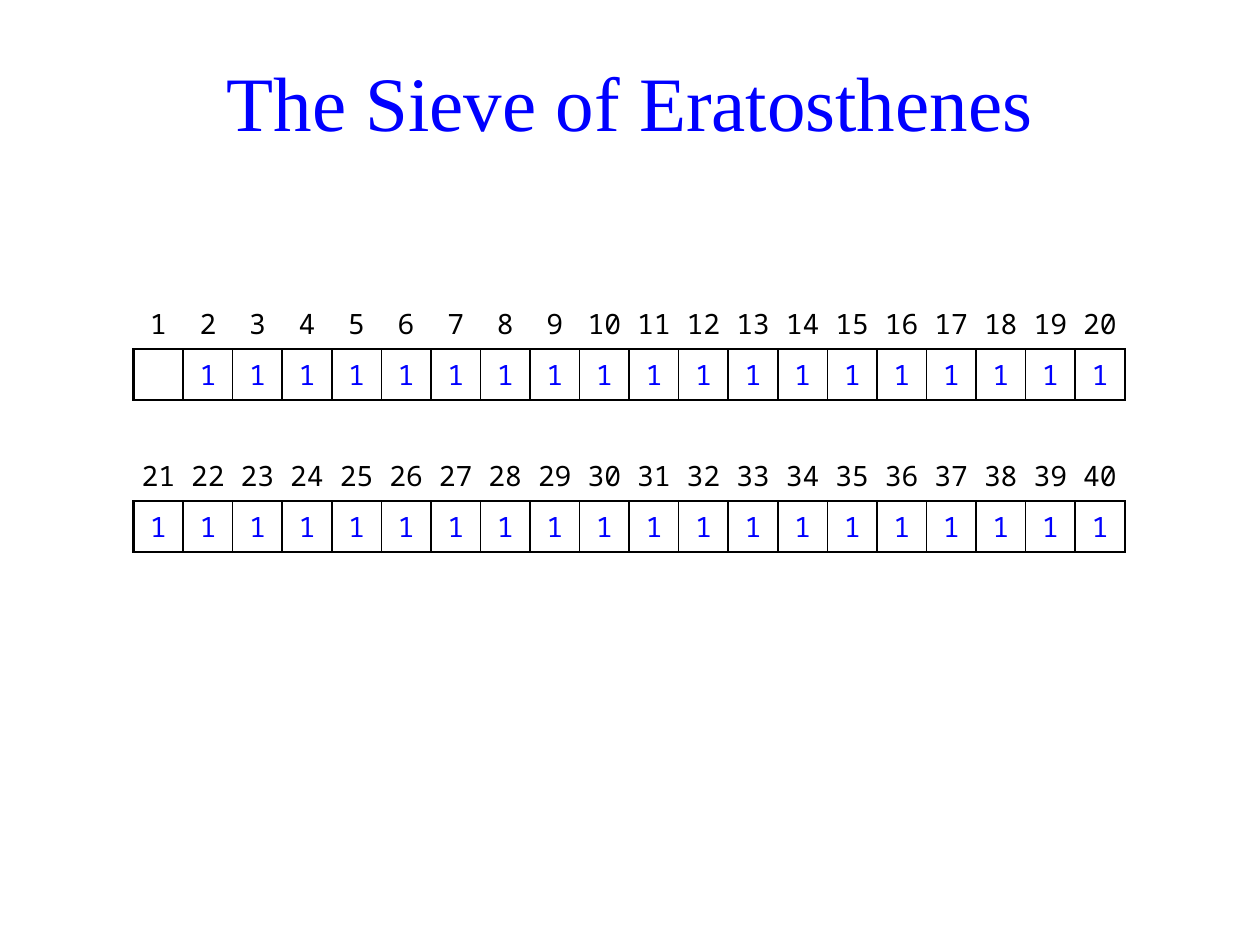
from dataclasses import dataclass
from lxml.etree import SubElement
from pptx import Presentation
from pptx.dml.color import RGBColor
from pptx.enum.text import MSO_ANCHOR, PP_ALIGN
from pptx.oxml.ns import qn
from pptx.util import Inches, Pt


@dataclass
class Theme:
    ink: str = "000000"
    accent: str = "0000FF"
    title_font: str = "Times New Roman"
    cell_font: str = "Noto Sans Mono"
    title_size: float = 44
    cell_size: float = 16
    outer: float = 1.5
    inner: float = 1


theme = Theme()


def style(p, font, size, color):
    p.alignment = PP_ALIGN.CENTER
    p.font.name = font
    p.font.size = Pt(size)
    p.font.color.rgb = RGBColor.from_string(color)


def set_borders(cell, widths):
    tcPr = cell._tc.get_or_add_tcPr()
    for side, width in zip("LRTB", widths):
        ln = SubElement(tcPr, qn(f"a:ln{side}"), w=str(Pt(width)))
        if width:
            fill = SubElement(ln, qn("a:solidFill"))
            SubElement(fill, qn("a:srgbClr"), val=theme.ink)
        else:
            SubElement(ln, qn("a:noFill"))


prs = Presentation()
prs.slide_width, prs.slide_height = Inches(10), Inches(7.5)
s = prs.slides.add_slide(prs.slide_layouts[5])

title = s.shapes.title
title.left, title.top = Inches(0.47), Inches(0.21)
title.width, title.height = Inches(9.06), Inches(1.18)
tf = title.text_frame
tf.text = "The Sieve of Eratosthenes"
tf.vertical_anchor = MSO_ANCHOR.MIDDLE
style(tf.paragraphs[0], theme.title_font, theme.title_size, theme.accent)

cols = 20
numbers = range(1, cols + 1)
rows = [
    [str(n) for n in numbers],
    ["" if n == 1 else "1" for n in numbers],
    [""] * cols,
    [str(n + cols) for n in numbers],
    ["1"] * cols,
]
boxed = {1, 4}

sieve = s.shapes.add_table(
    len(rows), cols, Inches(1.06), Inches(2.37), Inches(7.87), Inches(1.97)
).table
sieve.first_row = sieve.horz_banding = False

for i, row in enumerate(rows):
    for j, text in enumerate(row):
        cell = sieve.cell(i, j)
        cell.text = text
        cell.vertical_anchor = MSO_ANCHOR.MIDDLE
        cell.margin_left = cell.margin_right = 0
        cell.margin_top = cell.margin_bottom = Inches(0.05)
        color = theme.accent if i in boxed else theme.ink
        style(cell.text_frame.paragraphs[0], theme.cell_font, theme.cell_size, color)
        if i in boxed:
            left = theme.inner if j else theme.outer
            right = theme.inner if j < cols - 1 else theme.outer
            widths = (left, right, theme.outer, theme.outer)
        else:
            top = theme.outer if i - 1 in boxed else 0
            bottom = theme.outer if i + 1 in boxed else 0
            widths = (0, 0, top, bottom)
        set_borders(cell, widths)
        cell.fill.background()

prs.save("out.pptx")
